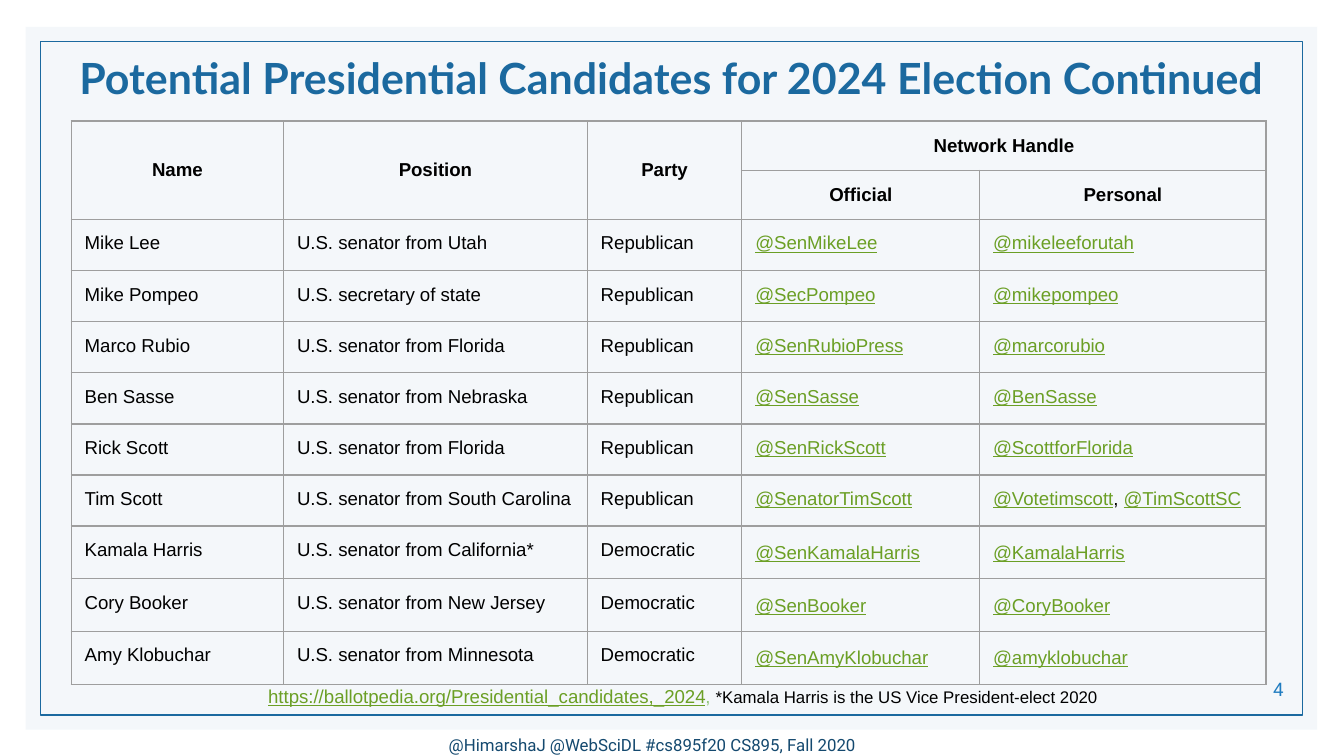
from lxml.etree import SubElement
from pptx import Presentation
from pptx.dml.color import RGBColor
from pptx.enum.shapes import MSO_SHAPE
from pptx.enum.text import MSO_ANCHOR, PP_ALIGN
from pptx.oxml.ns import qn
from pptx.util import Inches, Pt

BLACK = RGBColor(0x00, 0x00, 0x00)
BLUE = RGBColor(0x1B, 0x69, 0x9F)
PALE_BLUE = RGBColor(0xD2, 0xE1, 0xEC)
NAVY = RGBColor(0x14, 0x49, 0x6F)
NUMBER_BLUE = RGBColor(0x20, 0x7C, 0xC0)
LINK_GREEN = RGBColor(0x6B, 0x9F, 0x25)
SOFT_GREEN = RGBColor(0x93, 0xC4, 0x7D)
GRID_GRAY = RGBColor(0x9E, 0x9E, 0x9E)

COLUMN_WIDTHS = [1.58, 2.26, 1.15, 1.77, 2.13]
HEADER_HEIGHTS = [0.36, 0.21]
CANDIDATE_HEIGHT = 0.38
HEADERS = [
    (0, 0, 1, 0, "Name"),
    (0, 1, 1, 1, "Position"),
    (0, 2, 1, 2, "Party"),
    (0, 3, 0, 4, "Network Handle"),
    (1, 3, 1, 3, "Official"),
    (1, 4, 1, 4, "Personal"),
]
CANDIDATES = [
    ("Mike Lee", "U.S. senator from Utah", "Republican", "@SenMikeLee", "@mikeleeforutah"),
    ("Mike Pompeo", "U.S. secretary of state", "Republican", "@SecPompeo", "@mikepompeo"),
    ("Marco Rubio", "U.S. senator from Florida", "Republican", "@SenRubioPress", "@marcorubio"),
    ("Ben Sasse", "U.S. senator from Nebraska", "Republican", "@SenSasse", "@BenSasse"),
    ("Rick Scott", "U.S. senator from Florida", "Republican", "@SenRickScott", "@ScottforFlorida"),
    ("Tim Scott", "U.S. senator from South Carolina", "Republican", "@SenatorTimScott",
     "@Votetimscott, @TimScottSC"),
    ("Kamala Harris", "U.S. senator from California*", "Democratic", "@SenKamalaHarris", "@KamalaHarris"),
    ("Cory Booker", "U.S. senator from New Jersey", "Democratic", "@SenBooker", "@CoryBooker"),
    ("Amy Klobuchar", "U.S. senator from Minnesota", "Democratic", "@SenAmyKlobuchar", "@amyklobuchar"),
]


class SlideBuilder:
    body_font = "Arial"
    body_size = 10

    def __init__(self, slide):
        self.slide = slide

    def panel(self, left, top, width, height, fill=None, opacity=100, line=None):
        panel = self.slide.shapes.add_shape(
            MSO_SHAPE.RECTANGLE, Inches(left), Inches(top), Inches(width), Inches(height))
        panel.shadow.inherit = False
        if fill is None:
            panel.fill.background()
        else:
            panel.fill.solid()
            panel.fill.fore_color.rgb = fill
            color = panel.fill._xPr.find(qn("a:solidFill"))[0]
            SubElement(color, qn("a:alpha"), val=str(opacity * 1000))
        if line is None:
            panel.line.fill.background()
        else:
            panel.line.color.rgb = line
            panel.line.width = Pt(0.75)

    def add_run(self, paragraph, text, color=BLACK, size=body_size, font=body_font,
                bold=False, underline=False):
        run = paragraph.add_run()
        run.text = text
        run.font.name = font
        run.font.size = Pt(size)
        run.font.bold = bold
        run.font.underline = underline
        run.font.color.rgb = color

    def text(self, left, top, width, height, runs, align=PP_ALIGN.CENTER,
             anchor=MSO_ANCHOR.TOP, insets=(0.1, 0.1, 0.1, 0.1), spacing=None):
        frame = self.slide.shapes.add_textbox(
            Inches(left), Inches(top), Inches(width), Inches(height)).text_frame
        frame.word_wrap = True
        frame.vertical_anchor = anchor
        frame.margin_left, frame.margin_top, frame.margin_right, frame.margin_bottom = map(Inches, insets)
        paragraph = frame.paragraphs[0]
        paragraph.alignment = align
        if spacing:
            paragraph.line_spacing = spacing
        for run in runs:
            self.add_run(paragraph, **run)

    def style_cell(self, cell):
        cell.margin_left = cell.margin_right = Inches(0.1)
        cell.margin_top = cell.margin_bottom = Inches(0.1)
        properties = cell._tc.get_or_add_tcPr()
        for side in ("a:lnL", "a:lnR", "a:lnT", "a:lnB"):
            border = SubElement(properties, qn(side), w=str(Pt(0.75)))
            fill = SubElement(border, qn("a:solidFill"))
            SubElement(fill, qn("a:srgbClr"), val=str(GRID_GRAY))
        cell.fill.background()

    def handles(self, paragraph, text):
        for index, handle in enumerate(text.split(", ")):
            if index:
                self.add_run(paragraph, ", ")
            self.add_run(paragraph, handle, color=LINK_GREEN, underline=True)

    def candidate_table(self, left, top, width, height):
        heights = HEADER_HEIGHTS + [CANDIDATE_HEIGHT] * len(CANDIDATES)
        frame = self.slide.shapes.add_table(
            len(heights), len(COLUMN_WIDTHS), Inches(left), Inches(top),
            Inches(width), Inches(height))
        table = frame.table
        table.first_row = False
        table.horz_banding = False
        for column, column_width in zip(table.columns, COLUMN_WIDTHS):
            column.width = Inches(column_width)
        for row, row_height in zip(table.rows, heights):
            row.height = Inches(row_height)
        frame.width, frame.height = Inches(width), Inches(height)
        for cell in table.iter_cells():
            self.style_cell(cell)
        for first_row, first_column, last_row, last_column, label in HEADERS:
            cell = table.cell(first_row, first_column)
            if (first_row, first_column) != (last_row, last_column):
                cell.merge(table.cell(last_row, last_column))
            cell.vertical_anchor = MSO_ANCHOR.MIDDLE
            paragraph = cell.text_frame.paragraphs[0]
            paragraph.alignment = PP_ALIGN.CENTER
            self.add_run(paragraph, label, bold=True)
        for row, candidate in enumerate(CANDIDATES, start=len(HEADER_HEIGHTS)):
            party = candidate[2]
            for column, value in enumerate(candidate):
                paragraph = table.cell(row, column).text_frame.paragraphs[0]
                if column < 3:
                    self.add_run(paragraph, value)
                    continue
                if party == "Democratic":
                    paragraph.line_spacing = 1.15
                self.handles(paragraph, value)


def main():
    presentation = Presentation()
    presentation.slide_width = Inches(10)
    presentation.slide_height = Inches(10) * 9 // 16
    builder = SlideBuilder(presentation.slides.add_slide(presentation.slide_layouts[6]))

    builder.panel(0.19, 0.2, 9.61, 5.23, fill=PALE_BLUE, opacity=24)
    builder.panel(0.3, 0.31, 9.39, 5.01, line=BLUE)
    builder.text(0.1, 5.27, 9.34, 0.43, [
        dict(text="@HimarshaJ @WebSciDL #cs895f20 CS895, Fall 2020", color=NAVY, size=9, font="Roboto"),
    ], anchor=MSO_ANCHOR.BOTTOM, insets=(0.26, 0.1, 0.1, 0.12))
    builder.text(8.73, 4.8, 0.89, 0.44, [
        dict(text="4", color=NUMBER_BLUE, font="Roboto"),
    ], align=PP_ALIGN.RIGHT, anchor=MSO_ANCHOR.BOTTOM, insets=(0.07, 0.04, 0.07, 0.03))
    builder.text(0.5, 5, 9.16, 0.39, [
        dict(text="https://ballotpedia.org/Presidential_candidates,_2024", color=LINK_GREEN, underline=True),
        dict(text=", ", color=SOFT_GREEN),
        dict(text="*Kamala Harris is the US Vice President-elect 2020", size=9),
    ], insets=(0.1, 0.12, 0.1, 0.1))
    builder.candidate_table(0.53, 0.9, 3.28, 3.28)
    builder.text(0.3, 0.33, 9.4, 0.62, [
        dict(text="Potential Presidential Candidates for 2024 Election Continued",
             color=BLUE, size=23, font="Lato", bold=True),
    ], spacing=0.9)

    presentation.save("out.pptx")


if __name__ == "__main__":
    main()
